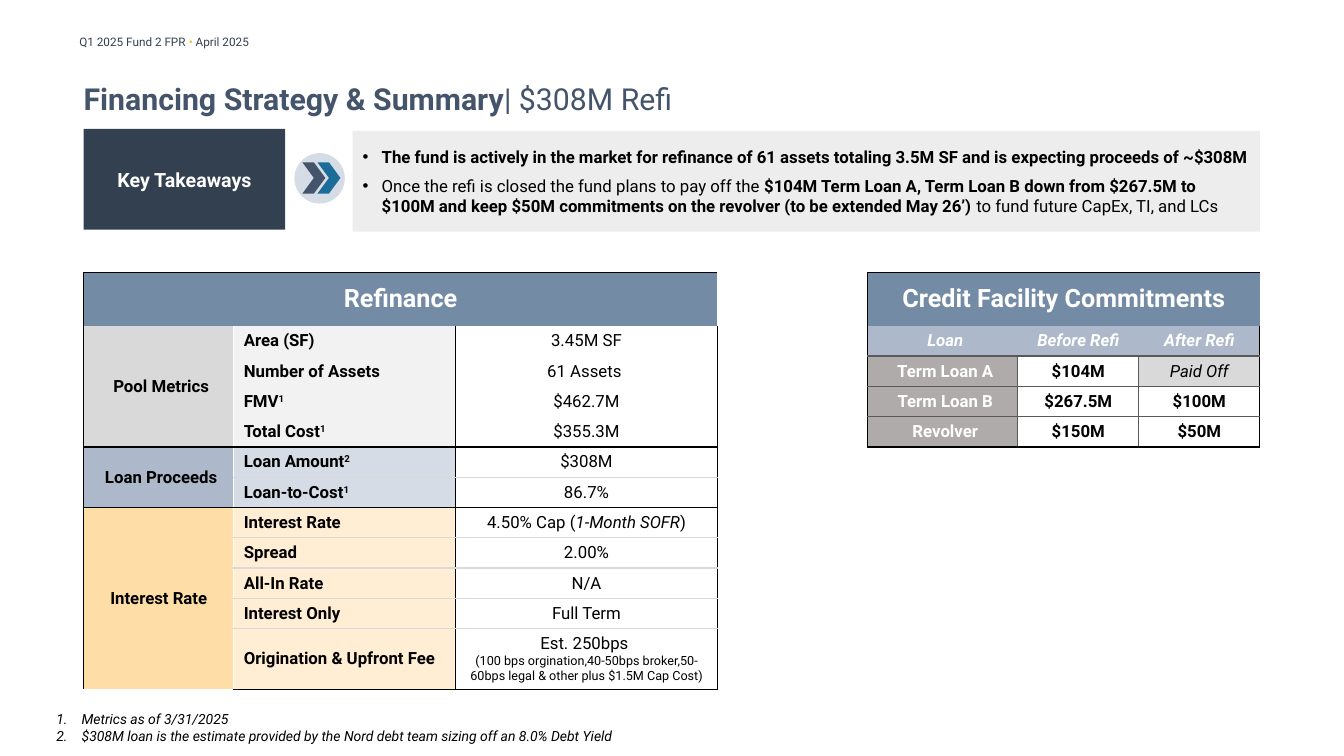
from lxml import etree
from pptx import Presentation
from pptx.dml.color import RGBColor
from pptx.enum import shapes, text
from pptx.oxml import ns
from pptx.util import Cm, Pt

rgb = RGBColor.from_string
BLACK, WHITE, NAVY, SLATE = "000000", "FFFFFF", "33404F", "44546A"
STEEL, MIST, BLUE_GREY = "748BA6", "D6DCE5", "ADB9CA"
LIGHT, DARK = "D9D9D9", "595959"
BOLD, ITALIC, RAISED = {"bold": True}, {"italic": True}, {"bold": True, "raised": True}
CENTER, MIDDLE = text.PP_ALIGN.CENTER, text.MSO_ANCHOR.MIDDLE
NO_STYLE = "{2D5ABB26-0587-4C30-8999-92F81FD0307C}"


def write(paragraph, runs, size, color=BLACK, align=None):
    """Add (words, format) runs; a bare "\\n" becomes a line break."""
    paragraph.alignment = align
    for words, look in runs:
        if words == "\n":
            paragraph.add_line_break()
            continue
        run = paragraph.add_run()
        run.text = words
        font = run.font
        font.name = "Roboto"
        font.size = Pt(look.get("size", size))
        font.color.rgb = rgb(look.get("color", color))
        for name in ("bold", "italic"):
            setattr(font, name, look.get(name, False))
        if look.get("raised"):
            run._r.get_or_add_rPr().set("baseline", "30000")


def dress(cell, fill, borders):
    """Set fill, anchor and 1 pt borders; borders maps L, R, T, B to a colour."""
    cell.vertical_anchor = MIDDLE
    props = cell._tc.get_or_add_tcPr()
    for side in "LRTB":
        if borders.get(side):
            line = etree.SubElement(props, ns.qn(f"a:ln{side}"), w="12700")
            solid = etree.SubElement(line, ns.qn("a:solidFill"))
            etree.SubElement(solid, ns.qn("a:srgbClr"), val=borders[side])
    if fill:
        cell.fill.solid()
        cell.fill.fore_color.rgb = rgb(fill)
    else:
        cell.fill.background()


deck = Presentation()
deck.slide_width, deck.slide_height = Cm(33.87), Cm(19.05)
slide = deck.slides.add_slide(deck.slide_layouts[6])

# Running header and title
header = slide.shapes.add_textbox(Cm(1.75), Cm(0.74), Cm(11.46), Cm(0.61)).text_frame
header.word_wrap = True
write(header.paragraphs[0], [("Q1 2025 Fund 2 FPR ", {}), ("• ", {"color": "FFAB21"}),
                             ("April 2025", {})], 8.4, NAVY)

title = slide.shapes.add_textbox(Cm(2.11), Cm(1.52), Cm(28), Cm(1.9)).text_frame
title.word_wrap = True
title.vertical_anchor = MIDDLE
title.margin_left = title.margin_right = title.margin_top = title.margin_bottom = 0
write(title.paragraphs[0], [("Financing Strategy & Summary", BOLD), ("| $308M Refi", {})],
      21.6, SLATE)

# Key takeaways band
badge = slide.shapes.add_group_shape()
RECT, OVAL, CHEVRON = (shapes.MSO_SHAPE.RECTANGLE, shapes.MSO_SHAPE.OVAL,
                       shapes.MSO_SHAPE.CHEVRON)
band = []
for parent, kind, left, top, width, height, fill in (
        (slide, RECT, 2.11, 3.25, 5.08, 2.54, NAVY),
        (badge, OVAL, 7.42, 3.86, 1.27, 1.27, MIST),
        (badge, CHEVRON, 7.62, 4.09, 0.58, 0.79, SLATE),
        (badge, CHEVRON, 8, 4.09, 0.58, 0.79, "1C6C99"),
        (slide, RECT, 8.89, 3.3, 22.86, 2.54, "EDEDED")):
    shape = parent.shapes.add_shape(kind, Cm(left), Cm(top), Cm(width), Cm(height))
    shape.shadow.inherit = False
    shape.fill.solid()
    shape.fill.fore_color.rgb = rgb(fill)
    shape.line.fill.background()
    shape.text_frame.vertical_anchor = MIDDLE
    shape.text_frame.word_wrap = True
    band.append(shape)
write(band[0].text_frame.paragraphs[0], [("Key Takeaways", BOLD)], 14, WHITE, CENTER)

footnotes = slide.shapes.add_textbox(Cm(1.17), Cm(17.78), Cm(31.52), Cm(1.12)).text_frame
footnotes.word_wrap = True

takeaways = [
    [("The fund is actively in the market for refinance of 61 assets totaling 3.5M SF "
      "and is expecting proceeds of ~$308M", BOLD)],
    [("Once the refi is closed the fund plans to pay off the ", {}),
     ("$104M Term Loan A, Term Loan B down from $267.5M to $100M and keep $50M "
      "commitments on the revolver (to be extended May 26’) ", BOLD),
     ("to fund future CapEx, TI, and LCs", {})]]
notes = [
    [("Metrics as of 3/31/2025", ITALIC)],
    [("$308M loan is the estimate provided by the Nord debt team sizing off an 8.0% "
      "Debt Yield", ITALIC)]]
for frame, items, size, indent, gap, tag, mark in (
        (band[-1].text_frame, takeaways, 12, 0.48, 6, "a:buChar", {"char": "•"}),
        (footnotes, notes, 10, 0.64, 0, "a:buAutoNum", {"type": "arabicPeriod"})):
    for number, runs in enumerate(items):
        paragraph = frame.add_paragraph() if number else frame.paragraphs[0]
        props = paragraph._p.get_or_add_pPr()
        props.set("marL", str(Cm(indent)))
        props.set("indent", str(-Cm(indent)))
        if tag == "a:buChar":
            etree.SubElement(props, ns.qn("a:buFont"), typeface="Arial")
        etree.SubElement(props, ns.qn(tag), mark)
        if number:
            paragraph.space_before = Pt(gap)
        write(paragraph, runs, size, align=text.PP_ALIGN.LEFT)

# Table frames with their merged heading rows
grids = []
for heading, left, widths, row_count in (
        ("Refinance", 2.11, (3.78, 5.59, 6.6), 12),
        ("Credit Facility Commitments", 21.87, (3.78, 3.05, 3.05), 5)):
    heights = [1.35] + [0.75] * (row_count - 1)
    grid = slide.shapes.add_table(row_count, 3, Cm(left), Cm(6.86), Cm(sum(widths)),
                                  Cm(sum(heights))).table
    grid.first_row = grid.horz_banding = False
    grid._tbl.tblPr.find(ns.qn("a:tableStyleId")).text = NO_STYLE
    for column, width in zip(grid.columns, widths):
        column.width = Cm(width)
    for row, height in zip(grid.rows, heights):
        row.height = Cm(height)
    for col in range(3):
        dress(grid.cell(0, col), STEEL, {"L": BLACK if col == 0 else None, "T": BLACK,
                                         "R": BLACK if col == 2 else None})
    grid.cell(0, 0).merge(grid.cell(0, 2))
    write(grid.cell(0, 0).text_frame.paragraphs[0], [(heading, BOLD)], 18, WHITE, CENTER)
    grids.append(grid)
refinance, commitments = grids
refinance.rows[11].height = Cm(1.5)

# Refinance: section, fills, inner rule, right margin, (label, footnote mark, value runs)
sections = [
    ("Pool Metrics", LIGHT, "F2F2F2", None, 0.13, [
        ("Area (SF)", "", [("3.45M SF", {})]),
        ("Number of Assets", "", [("61 Assets ", {})]),
        ("FMV", "1", [("$462.7M", {})]),
        ("Total Cost", "1", [("$355.3M", {})])]),
    ("Loan Proceeds", BLUE_GREY, MIST, LIGHT, 0.13, [
        ("Loan Amount", "2", [("$308M", {})]),
        ("Loan-to-Cost", "1", [("86.7%", {})])]),
    ("Interest Rate", "FFDDA6", "FFEED3", LIGHT, 0.25, [
        ("Interest Rate", "", [("4.50% Cap (", {}), ("1-Month SOFR", ITALIC), (")", {})]),
        ("Spread", "", [("2.00%", {})]),
        ("All-In Rate", "", [("N/A", {})]),
        ("Interest Only", "", [("Full Term", {})]),
        ("Origination & Upfront Fee", "", [
            ("Est. 250bps ", {}), ("\n", {}),
            ("(100 bps orgination,40-50bps broker,50-60bps legal & other plus "
             "$1.5M Cap Cost)", {"size": 9})])])]
first = 1
for section, section_fill, label_fill, rule, margin, metrics in sections:
    last = first + len(metrics) - 1
    for row, (label, mark, value) in enumerate(metrics, first):
        top = BLACK if row == first > 1 else None if row == first else rule
        bottom = BLACK if row == last else rule
        section_cell, label_cell, value_cell = (refinance.cell(row, c) for c in range(3))
        dress(section_cell, section_fill,
              {"L": BLACK, "R": WHITE, "T": BLACK if row == first > 1 else None,
               "B": BLACK if row == last else None})
        dress(label_cell, label_fill, {"L": WHITE, "R": BLACK, "T": top, "B": bottom})
        dress(value_cell, None, {"L": BLACK, "R": BLACK, "T": top, "B": bottom})
        label_runs = [(label, BOLD)] + ([(mark, RAISED)] if mark else [])
        write(label_cell.text_frame.paragraphs[0], label_runs, 12)
        write(value_cell.text_frame.paragraphs[0], value, 12, align=CENTER)
    section_cell = refinance.cell(first, 0)
    section_cell.merge(refinance.cell(last, 0))
    section_cell.margin_right = Cm(margin)
    write(section_cell.text_frame.paragraphs[0], [(section, BOLD)], 12, align=CENTER)
    first = last + 1

# Credit facility commitments
loans = [("Loan", "Before Refi", "After Refi"),
         ("Term Loan A", "$104M", "Paid Off"),
         ("Term Loan B", "$267.5M", "$100M"),
         ("Revolver", "$150M", "$50M")]
for row, loan in enumerate(loans, 1):
    for col, entry in enumerate(loan):
        cell = commitments.cell(row, col)
        is_head, paid_off = row == 1, entry == "Paid Off"
        inner = None if is_head else DARK
        fill = (BLUE_GREY if is_head else "AFABAB" if col == 0
                else LIGHT if paid_off else WHITE)
        dress(cell, fill, {"L": BLACK if col == 0 else inner,
                           "R": BLACK if col == 2 else inner,
                           "T": inner, "B": BLACK if row == len(loans) else DARK})
        if col == 0:
            cell.margin_right = Cm(0.13)
        write(cell.text_frame.paragraphs[0],
              [(entry, {"bold": not paid_off, "italic": is_head or paid_off})],
              12, WHITE if is_head or col == 0 else BLACK, CENTER)

deck.save("out.pptx")
